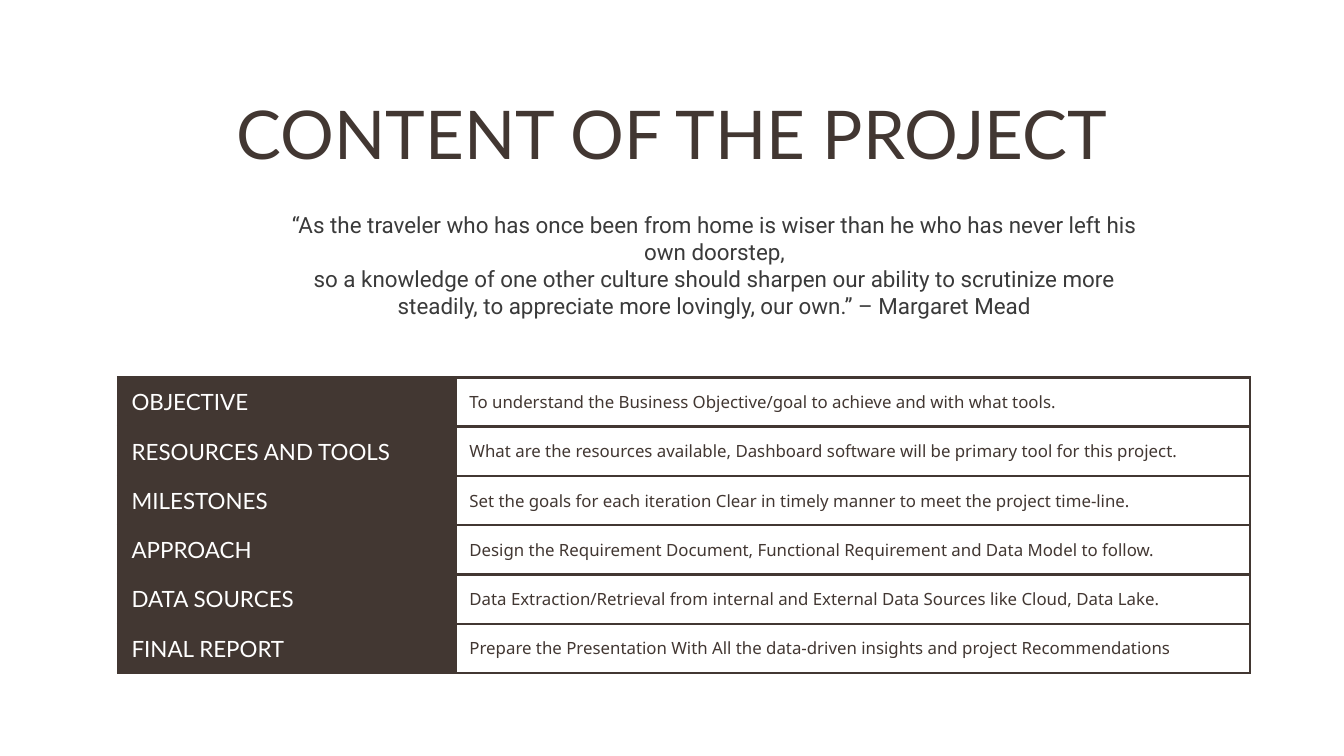
from lxml import etree
from pptx import Presentation
from pptx.dml.color import RGBColor
from pptx.enum import text
from pptx.oxml import ns
from pptx.util import Pt

COLORS = {"brown": "423732", "grey": "3A3A3A", "white": "FFFFFF"}
INSET = 7.2
TITLE = "CONTENT OF THE PROJECT"
QUOTE = [
    "“As the traveler who has once been from home is wiser than he who has never left his own doorstep,",
    "so a knowledge of one other culture should sharpen our ability to scrutinize more steadily, "
    "to appreciate more lovingly, our own.” – Margaret Mead",
]
SECTIONS = [
    ("OBJECTIVE", "To understand the Business Objective/goal to achieve and with what tools."),
    ("RESOURCES AND TOOLS",
     "What are the resources available, Dashboard software will be primary tool for this project."),
    ("MILESTONES", "Set the goals for each iteration Clear in timely manner to meet the project time-line."),
    ("APPROACH", "Design the Requirement Document, Functional Requirement and Data Model to follow."),
    ("DATA SOURCES",
     "Data Extraction/Retrieval from internal and External Data Sources like Cloud, Data Lake."),
    ("FINAL REPORT", "Prepare the Presentation With All the data-driven insights and project Recommendations"),
]


def color(name):
    return RGBColor.from_string(COLORS[name])


def format_text(frame, font, size, color_name, align):
    for paragraph in frame.paragraphs:
        paragraph.alignment = align
        for run in paragraph.runs:
            run.font.name = font
            run.font.size = Pt(size)
            run.font.color.rgb = color(color_name)


def set_frame(frame, right=INSET):
    frame.word_wrap = True
    frame.auto_size = text.MSO_AUTO_SIZE.NONE
    frame.vertical_anchor = text.MSO_ANCHOR.TOP
    frame.margin_left = frame.margin_top = frame.margin_bottom = Pt(INSET)
    frame.margin_right = Pt(right)


def add_title(slide, left, top, width, height):
    title = slide.shapes.title
    title.left, title.top, title.width, title.height = Pt(left), Pt(top), Pt(width), Pt(height)
    title.text_frame.text = TITLE
    set_frame(title.text_frame)
    format_text(title.text_frame, "Lato", 36, "brown", text.PP_ALIGN.CENTER)


def add_quote(slide, left, top, width, height):
    quote = slide.shapes.add_textbox(Pt(left), Pt(top), Pt(width), Pt(height))
    quote.text_frame.text = "\n".join(QUOTE)
    set_frame(quote.text_frame, right=0)
    format_text(quote.text_frame, "Roboto", 12, "grey", text.PP_ALIGN.CENTER)


def add_borders(cell, color_name, width):
    """Draw all four sides; border lines must precede the fill in tcPr."""
    properties = cell._tc.get_or_add_tcPr()
    for index, side in enumerate(("lnL", "lnR", "lnT", "lnB")):
        line = etree.Element(ns.qn(f"a:{side}"), w=str(Pt(width)))
        fill = etree.SubElement(line, ns.qn("a:solidFill"))
        etree.SubElement(fill, ns.qn("a:srgbClr"), val=COLORS[color_name])
        properties.insert(index, line)


def fill_cell(cell, content, font, size, text_color, fill_color):
    cell.text_frame.text = content
    cell.vertical_anchor = text.MSO_ANCHOR.MIDDLE
    cell.margin_left = cell.margin_right = Pt(INSET)
    cell.margin_top = cell.margin_bottom = 0
    cell.fill.solid()
    cell.fill.fore_color.rgb = color(fill_color)
    format_text(cell.text_frame, font, size, text_color, text.PP_ALIGN.LEFT)
    add_borders(cell, "brown", 1.5)


def add_sections(slide, left, top, width, height, label_width):
    table = slide.shapes.add_table(
        len(SECTIONS), 2, Pt(left), Pt(top), Pt(width), Pt(height)).table
    table.first_row = table.horz_banding = False
    table.columns[0].width = Pt(label_width)
    table.columns[1].width = Pt(width - label_width)
    for row, (label, description) in enumerate(SECTIONS):
        table.rows[row].height = Pt(height / len(SECTIONS))
        fill_cell(table.cell(row, 0), label, "Lato", 12, "white", "brown")
        fill_cell(table.cell(row, 1), description, "Noto Sans", 9, "brown", "white")


def main():
    deck = Presentation()
    deck.slide_width, deck.slide_height = Pt(720), Pt(405)
    slide = deck.slides.add_slide(deck.slide_layouts[5])
    add_title(slide, 56, 42.5, 608, 54)
    add_quote(slide, 146, 106, 466.5, 86.5)
    add_sections(slide, 63.3, 202.2, 606.5, 158.4, label_width=181)
    deck.save("out.pptx")


if __name__ == "__main__":
    main()
